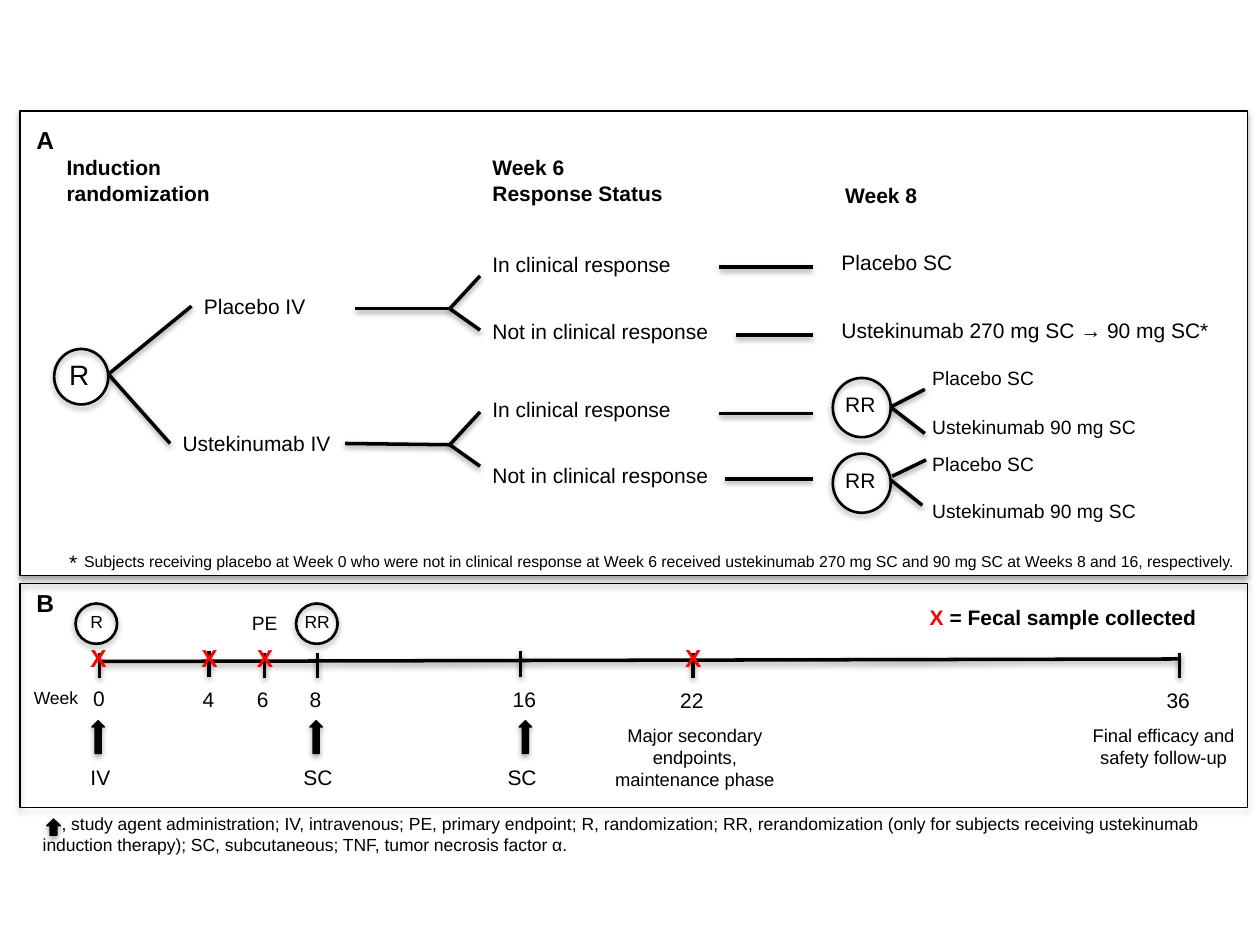
import dataclasses
from typing import NamedTuple

import lxml.etree
import pptx
import pptx.dml.color
import pptx.enum.shapes
import pptx.enum.text
import pptx.oxml.ns
import pptx.util

COLORS = {"ink": "000000", "paper": "FFFFFF", "sample": "FF0000"}
SHAPES = pptx.enum.shapes.MSO_SHAPE
ALIGN = pptx.enum.text.PP_ALIGN


@dataclasses.dataclass
class Label:
    text: str
    left: float
    top: float
    width: float
    size: float = 12
    lines: int = 1
    bold: bool = False
    color: str = "ink"
    wrap: bool = False
    align: ALIGN = ALIGN.LEFT


@dataclasses.dataclass
class Figure:
    kind: SHAPES
    left: float
    top: float
    width: float
    height: float
    fill: str = ""
    weight: float = 0.75


class Line(NamedTuple):
    x1: float
    y1: float
    x2: float
    y2: float


class Visit(NamedTuple):
    week: str
    tick: float
    tick_top: float
    left: float
    top: float
    width: float


class Dose(NamedTuple):
    route: str
    arrow_left: float
    left: float
    width: float


def length(inches: float) -> pptx.util.Length:
    return pptx.util.Cm(inches * 2.54)


def rgb(name: str) -> pptx.dml.color.RGBColor:
    return pptx.dml.color.RGBColor.from_string(COLORS[name])


def add_shadow(properties, distance: int, opacity: int) -> None:
    tag = pptx.oxml.ns.qn
    for old in properties.findall(tag("a:effectLst")):
        properties.remove(old)
    effects = lxml.etree.SubElement(properties, tag("a:effectLst"))
    shadow = lxml.etree.SubElement(
        effects, tag("a:outerShdw"), blurRad="40000", dist=str(distance),
        dir="5400000", rotWithShape="0")
    color = lxml.etree.SubElement(shadow, tag("a:srgbClr"), val=COLORS["ink"])
    lxml.etree.SubElement(color, tag("a:alpha"), val=str(opacity))


def format_span(span, size: float, bold: bool, color: str) -> None:
    span.font.name = "Arial"
    span.font.size = pptx.util.Pt(size)
    span.font.bold = bold
    span.font.color.rgb = rgb(color)


def draw_label(page, label: Label):
    height = label.lines * label.size * 1.2 / 72 + 0.1
    box = page.shapes.add_textbox(length(label.left), length(label.top),
                                  length(label.width), length(height))
    frame = box.text_frame
    frame.word_wrap = label.wrap
    frame.auto_size = pptx.enum.text.MSO_AUTO_SIZE.SHAPE_TO_FIT_TEXT
    frame.text = label.text
    for para in frame.paragraphs:
        para.alignment = label.align
        for span in para.runs:
            format_span(span, label.size, label.bold, label.color)
    return box


def draw_figure(page, figure: Figure) -> None:
    shape = page.shapes.add_shape(
        figure.kind, length(figure.left), length(figure.top),
        length(figure.width), length(figure.height))
    if figure.fill:
        shape.fill.solid()
        shape.fill.fore_color.rgb = rgb(figure.fill)
    else:
        shape.fill.background()
    shape.line.color.rgb = rgb("ink")
    shape.line.width = pptx.util.Pt(figure.weight)
    add_shadow(shape._element.spPr, 23000, 35000)


def draw_line(page, line: Line) -> None:
    connector = page.shapes.add_connector(
        pptx.enum.shapes.MSO_CONNECTOR.STRAIGHT, *map(length, line))
    connector.line.color.rgb = rgb("ink")
    connector.line.width = pptx.util.Pt(2)
    add_shadow(connector._element.spPr, 20000, 38000)


def draw_circle(page, left: float, top: float, width: float, height: float, label: Label) -> None:
    draw_figure(page, Figure(SHAPES.OVAL, left, top, width, height, weight=1.5))
    draw_label(page, label)


def draw_arrow(page, left: float, top: float, width: float, height: float) -> None:
    draw_figure(page, Figure(SHAPES.UP_ARROW, left, top, width, height, "ink"))


TREE_LABELS = [
    Label("A", 0.19, 0.94, 0.34, 14, bold=True),
    Label("Induction\nrandomization", 0.43, 1.18, 1.35, lines=2, bold=True),
    Label("Week 6\nResponse Status", 3.81, 1.18, 1.58, lines=2, bold=True),
    Label("Week 8", 6.61, 1.4, 0.79, bold=True),
    Label("Placebo IV", 1.52, 2.28, 1.02),
    Label("Ustekinumab IV", 1.35, 3.37, 1.39),
    Label("Placebo SC", 6.58, 1.93, 1.09),
    Label("Ustekinumab 270 mg SC → 90 mg SC*", 6.58, 2.47, 3.15),
    Label("* ", 0.45, 4.31, 0.27),
    Label("Subjects receiving placebo at Week 0 who were not in clinical response at Week 6 "
          "received ustekinumab 270 mg SC and 90 mg SC at Weeks 8 and 16, respectively.",
          0.57, 4.33, 9.41, 9),
]
TREE_LINES = [
    Line(1.52, 2.43, 0.86, 2.97), Line(1.35, 3.52, 0.86, 2.97),
    Line(2.82, 2.45, 3.57, 2.45), Line(2.74, 3.52, 3.57, 3.53),
    Line(5.71, 2.12, 6.45, 2.12), Line(5.84, 2.66, 6.45, 2.66),
    Line(5.71, 3.28, 6.45, 3.28), Line(5.75, 3.8, 6.45, 3.8),
    Line(7.07, 3.23, 7.34, 3.09), Line(7.08, 3.24, 7.34, 3.44),
    Line(7.08, 3.78, 7.35, 3.65), Line(7.07, 3.81, 7.32, 4.01),
]
VISITS = [
    Visit("0", 0.79, 5.18, 0.64, 5.39, 0.3), Visit("4", 1.66, 5.17, 1.51, 5.4, 0.3),
    Visit("6", 2.1, 5.18, 1.94, 5.4, 0.3), Visit("8", 2.52, 5.18, 2.36, 5.4, 0.3),
    Visit("16", 4.13, 5.17, 3.97, 5.4, 0.39), Visit("22", 5.5, 5.18, 5.3, 5.41, 0.39),
    Visit("36", 9.36, 5.18, 9.16, 5.41, 0.39),
]
DOSES = [Dose("IV", 0.73, 0.62, 0.36), Dose("SC", 2.46, 2.31, 0.44),
         Dose("SC", 4.12, 3.93, 0.44)]
TIMELINE_LABELS = [
    Label("B", 0.19, 4.62, 0.34, 14, bold=True),
    Label("Week", 0.17, 5.4, 0.56, 10),
    Label("PE", 1.9, 4.8, 0.41, 11),
    Label("Major secondary endpoints,\nmaintenance phase", 4.72, 5.7, 1.59, 10.5, 3,
          wrap=True, align=ALIGN.CENTER),
    Label("Final efficacy and safety follow-up", 8.44, 5.7, 1.59, 10.5, 2,
          wrap=True, align=ALIGN.CENTER),
]


def draw_tree(page) -> None:
    draw_figure(page, Figure(SHAPES.RECTANGLE, 0.16, 0.88, 9.74, 3.69, "paper"))
    for line in TREE_LINES:
        draw_line(page, line)
    for label in TREE_LABELS:
        draw_label(page, label)
    for fork, top in ((2.45, 1.95), (3.53, 3.1)):
        draw_line(page, Line(3.57, fork, 3.81, fork - 0.26))
        draw_line(page, Line(3.57, fork, 3.81, fork + 0.17))
        draw_label(page, Label("In clinical response", 3.81, top, 1.63))
        draw_label(page, Label("Not in clinical response", 3.81, top + 0.525, 1.93))
    draw_circle(page, 0.43, 2.77, 0.43, 0.44, Label("R", 0.45, 2.79, 0.41, 16, wrap=True))
    for top, placebo_top, active_top in ((3, 2.86, 3.25), (3.6, 3.54, 3.91)):
        draw_circle(page, 6.61, top, 0.46, 0.47, Label("RR", 6.61, top + 0.06, 0.51, wrap=True))
        draw_label(page, Label("Placebo SC", 7.3, placebo_top, 1.02, 11))
        draw_label(page, Label("Ustekinumab 90 mg SC", 7.3, active_top, 1.83, 11))


def draw_timeline(page) -> None:
    draw_figure(page, Figure(SHAPES.RECTANGLE, 0.16, 4.63, 9.74, 1.78))
    draw_line(page, Line(0.79, 5.25, 9.36, 5.23))
    for visit in VISITS:
        draw_line(page, Line(visit.tick, visit.tick_top, visit.tick, visit.tick_top + 0.2))
        draw_label(page, Label(visit.week, visit.left, visit.top, visit.width))
    for dose in DOSES:
        draw_arrow(page, dose.arrow_left, 5.72, 0.1, 0.26)
        draw_label(page, Label(dose.route, dose.left, 6.02, dose.width))
    for left in (0.62, 1.5, 1.94, 5.34):
        draw_label(page, Label("X", left, 5.05, 0.33, 14, bold=True, color="sample"))
    for label in TIMELINE_LABELS:
        draw_label(page, label)
    draw_circle(page, 0.6, 4.79, 0.33, 0.32, Label("R", 0.62, 4.8, 0.3, 10))
    draw_circle(page, 2.35, 4.79, 0.33, 0.32, Label("RR", 2.32, 4.8, 0.4, 10))
    key = draw_label(page, Label("X ", 7.28, 4.75, 2.35, bold=True, color="sample"))
    span = key.text_frame.paragraphs[0].add_run()
    span.text = "= Fecal sample collected"
    format_span(span, 12, True, "ink")


def draw_abbreviations(page) -> None:
    box = draw_label(page, Label(
        ", study agent administration; IV, intravenous; PE, primary endpoint; R, randomization; "
        "RR, rerandomization (only for subjects receiving ustekinumab induction therapy); "
        "SC, subcutaneous; TNF, tumor necrosis factor α.", 0.24, 6.4, 9.62, 10, 2, wrap=True))
    box.text_frame.paragraphs[0]._p.get_or_add_pPr().set("indent", str(length(0.15)))
    draw_arrow(page, 0.37, 6.5, 0.11, 0.13)


def main() -> None:
    deck = pptx.Presentation()
    deck.slide_width, deck.slide_height = length(10), length(7.5)
    page = deck.slides.add_slide(deck.slide_layouts[6])
    draw_tree(page)
    draw_timeline(page)
    draw_abbreviations(page)
    deck.save("out.pptx")


if __name__ == "__main__":
    main()
